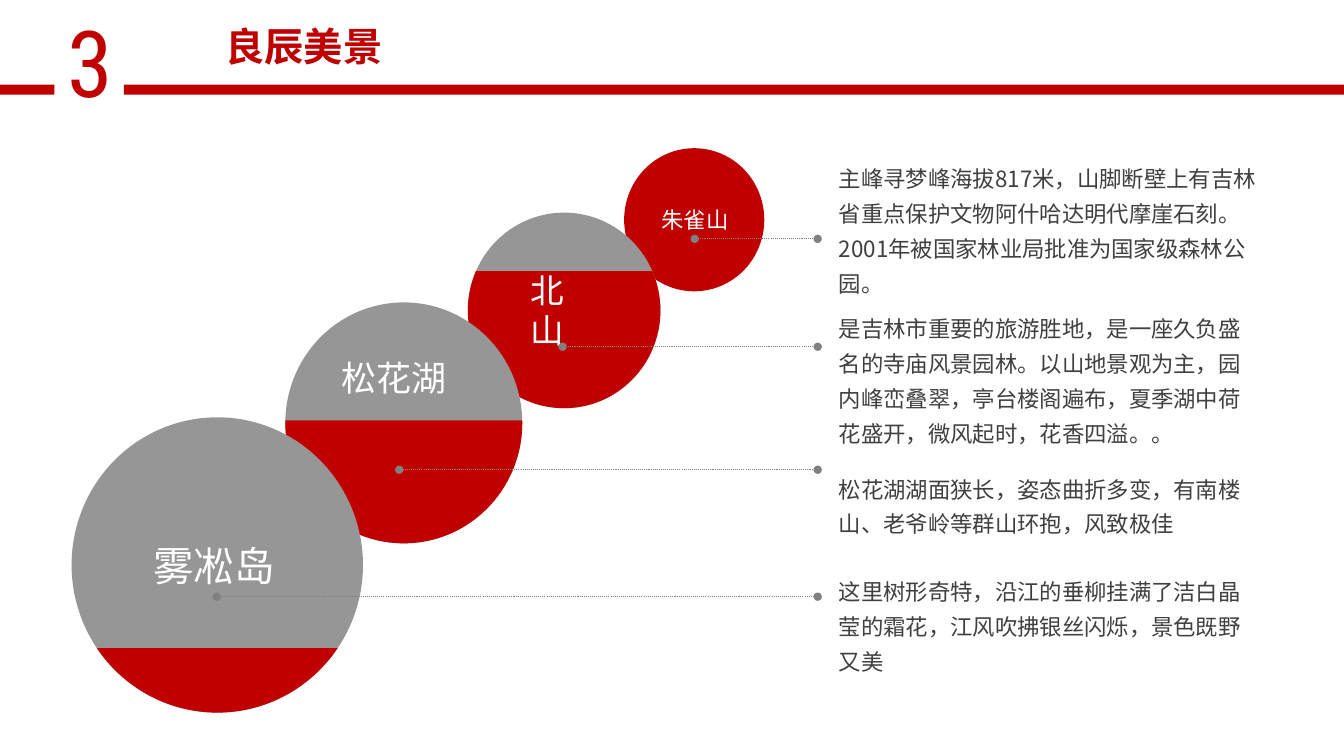
"""Build the scenery slide: four linked circles with their descriptions."""
import math
from lxml import etree
from pptx import Presentation
from pptx import util as u
from pptx.dml.color import RGBColor
from pptx.enum import dml, shapes, text
from pptx.oxml.ns import qn

PX = 9144
HUES = {"red": "C00000", "gray": "969696", "line": "808080",
        "ink": "404040", "white": "FFFFFF"}
SANS = "Noto Sans CJK SC"


def paint(shape, hue):
    shape.shadow.inherit = False
    shape.fill.solid()
    shape.fill.fore_color.rgb = RGBColor.from_string(HUES[hue])
    shape.line.fill.background()


def write(box, words, size, hue, face=SANS, wrap=True, inset=(11, 5), mid=False):
    frame = box.text_frame
    frame.word_wrap = wrap
    frame.auto_size = text.MSO_AUTO_SIZE.SHAPE_TO_FIT_TEXT
    frame.vertical_anchor = text.MSO_ANCHOR.MIDDLE if mid else text.MSO_ANCHOR.TOP
    frame.margin_left = inset[0] * PX
    frame.margin_right = 11 * PX
    frame.margin_top = frame.margin_bottom = inset[1] * PX
    para = frame.paragraphs[0]
    run = para.add_run()
    run.text = words
    run.font.size = u.Pt(size)
    run.font.name = face
    run.font.color.rgb = RGBColor.from_string(HUES[hue])
    east = etree.SubElement(run.font._element, qn("a:ea"))
    east.set("typeface", face)
    return para


deck = Presentation()
deck.slide_width, deck.slide_height = 1333 * PX, 750 * PX
slide = deck.slides.add_slide(deck.slide_layouts[5])
pool = slide.shapes

title = pool.title
title.left, title.top, title.width, title.height = [n * PX for n in (122, 17, 359, 60)]
para = write(title, "良辰美景", 28, "red")
para.alignment = text.PP_ALIGN.CENTER
para.runs[0].font.bold = True

num = pool.add_textbox(57 * PX, 0, 34 * PX, 121 * PX)
write(num, "3", 66, "red", "Roboto Condensed", inset=(10, 5))
for left, wide in ((123, 1210), (0, 54)):
    bar = pool.add_shape(shapes.MSO_SHAPE.RECTANGLE, left * PX, 84 * PX, wide * PX, 10 * PX)
    paint(bar, "red")

discs = [
    (619, 147, 139, 142, None),
    (464, 211, 191, 194, 269),
    (283, 300, 235, 239, 417),
    (71, 414, 289, 293, 643),
]
for left, top, wide, high, cut in discs:
    disc = pool.add_shape(shapes.MSO_SHAPE.OVAL, left * PX, top * PX, wide * PX, high * PX)
    paint(disc, "gray" if cut else "red")
    if cut:
        rx, ry = wide * PX / 2, high * PX / 2
        cx, cy = left * PX + rx, top * PX + ry
        start = math.asin((cut * PX - cy) / ry)
        sides = [0, math.pi / 2, math.pi] if start < 0 else [math.pi / 2]
        turns = [start, *sides, math.pi - start]
        arc = [(round(cx + rx * math.cos(t)), round(cy + ry * math.sin(t))) for t in turns]
        pen = pool.build_freeform(*arc[-1])
        pen.add_line_segments(arc, close=True)
        bowl = pen.convert_to_shape()
        paint(bowl, "red")
        edges = list(bowl._element.iter(qn("a:lnTo")))[1:]
        for edge, a, b in zip(edges, turns, turns[1:]):
            pull = 4 / 3 * math.tan((b - a) / 4)
            edge.tag = qn("a:cubicBezTo")
            for i, (t, k) in enumerate(((a, pull), (b, -pull))):
                x = cx + rx * (math.cos(t) - k * math.sin(t)) - bowl.left
                y = cy + ry * (math.sin(t) + k * math.cos(t)) - bowl.top
                spot = etree.Element(qn("a:pt"), x=str(round(x)), y=str(round(y)))
                edge.insert(i, spot)

names = [
    ("雾凇岛", 29, 123, 530, 166, 62, 29, False),
    ("松花湖", 25, 321, 347, 135, 55, 18, False),
    ("北山", 24, 515, 281, 88, 53, 11, True),
    ("朱雀山", 16, 645, 198, 90, 39, 11, False),
]
for name, size, left, top, wide, high, inset, wrap in names:
    box = pool.add_textbox(left * PX, top * PX, wide * PX, high * PX)
    write(box, name, size, "white", wrap=wrap, inset=(inset, 5), mid=True)

for left, y in ((689, 237), (558, 344), (396, 466), (215, 592)):
    link = pool.add_connector(shapes.MSO_CONNECTOR.STRAIGHT, left * PX, y * PX, 811 * PX, y * PX)
    link.line.color.rgb = RGBColor.from_string(HUES["line"])
    link.line.width = u.Pt(0.75)
    link.line.dash_style = dml.MSO_LINE.ROUND_DOT
    for end in ("a:headEnd", "a:tailEnd"):
        etree.SubElement(link.line._ln, qn(end)).set("type", "oval")
    etree.SubElement(link._element.spPr, qn("a:effectLst"))

notes = [
    (151, 149, "主峰寻梦峰海拔817米，山脚断壁上有吉林省重点保护文物阿什哈达明代摩崖石刻。"
               "2001年被国家林业局批准为国家级森林公园。"),
    (300, 149, "是吉林市重要的旅游胜地，是一座久负盛名的寺庙风景园林。以山地景观为主，"
               "园内峰峦叠翠，亭台楼阁遍布，夏季湖中荷花盛开，微风起时，花香四溢。。"),
    (459, 80, "松花湖湖面狭长，姿态曲折多变，有南楼山、老爷岭等群山环抱，风致极佳"),
    (561, 114, "这里树形奇特，沿江的垂柳挂满了洁白晶莹的霜花，江风吹拂银丝闪烁，景色既野又美"),
]
for top, high, words in notes:
    box = pool.add_textbox(821 * PX, top * PX, 442 * PX, high * PX)
    write(box, words, 16, "ink").line_spacing = 1.3

deck.save("out.pptx")
